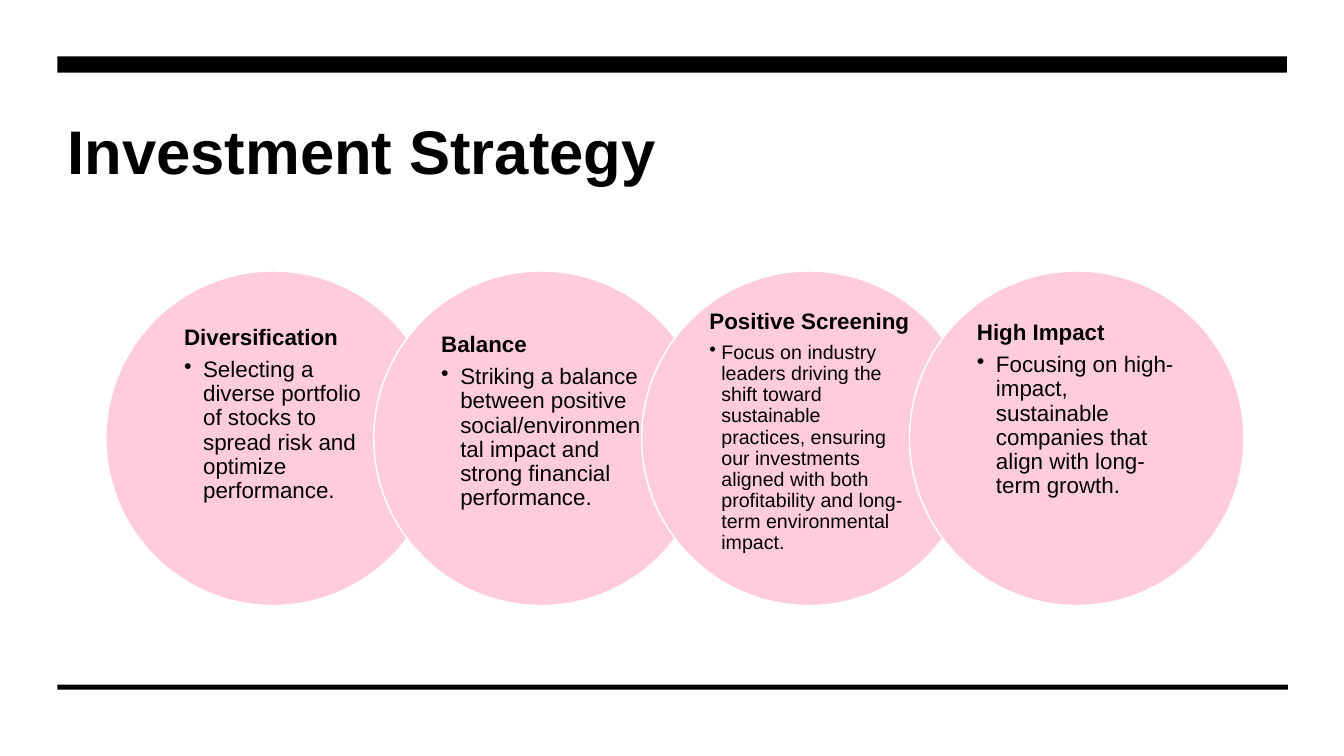
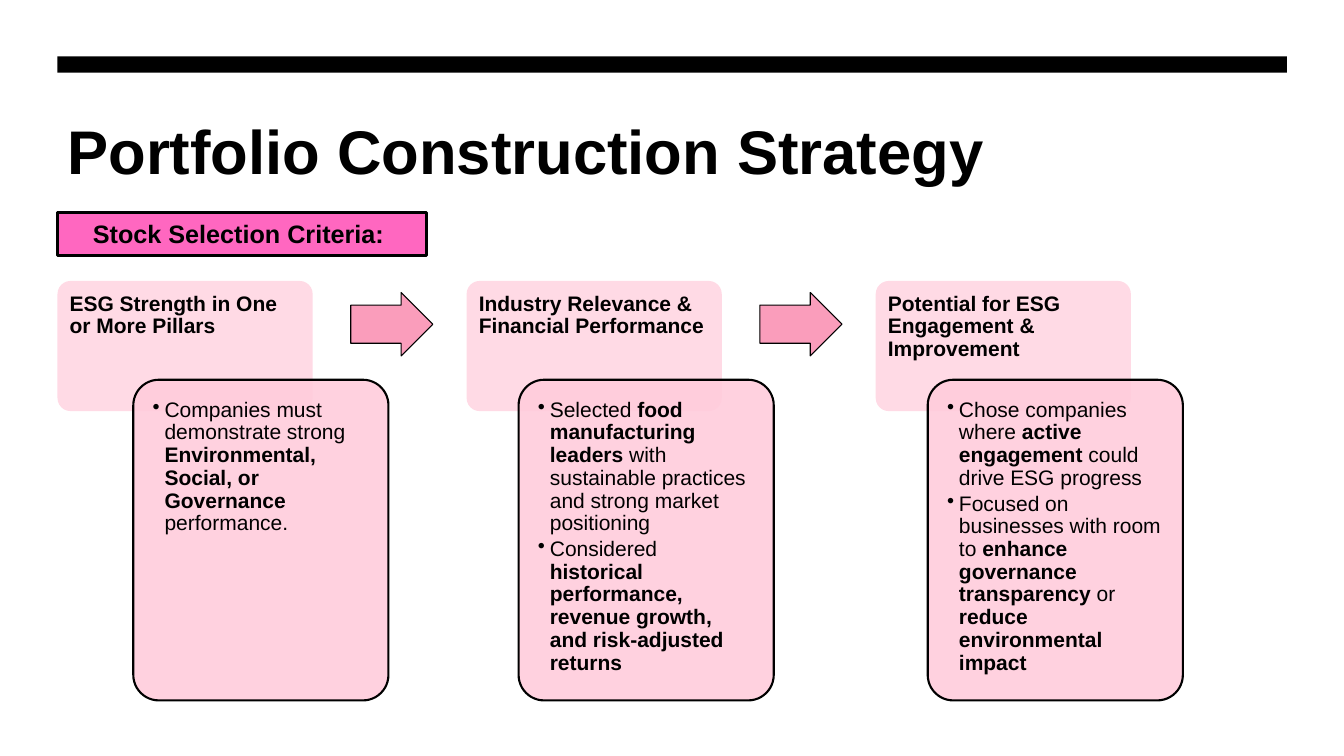
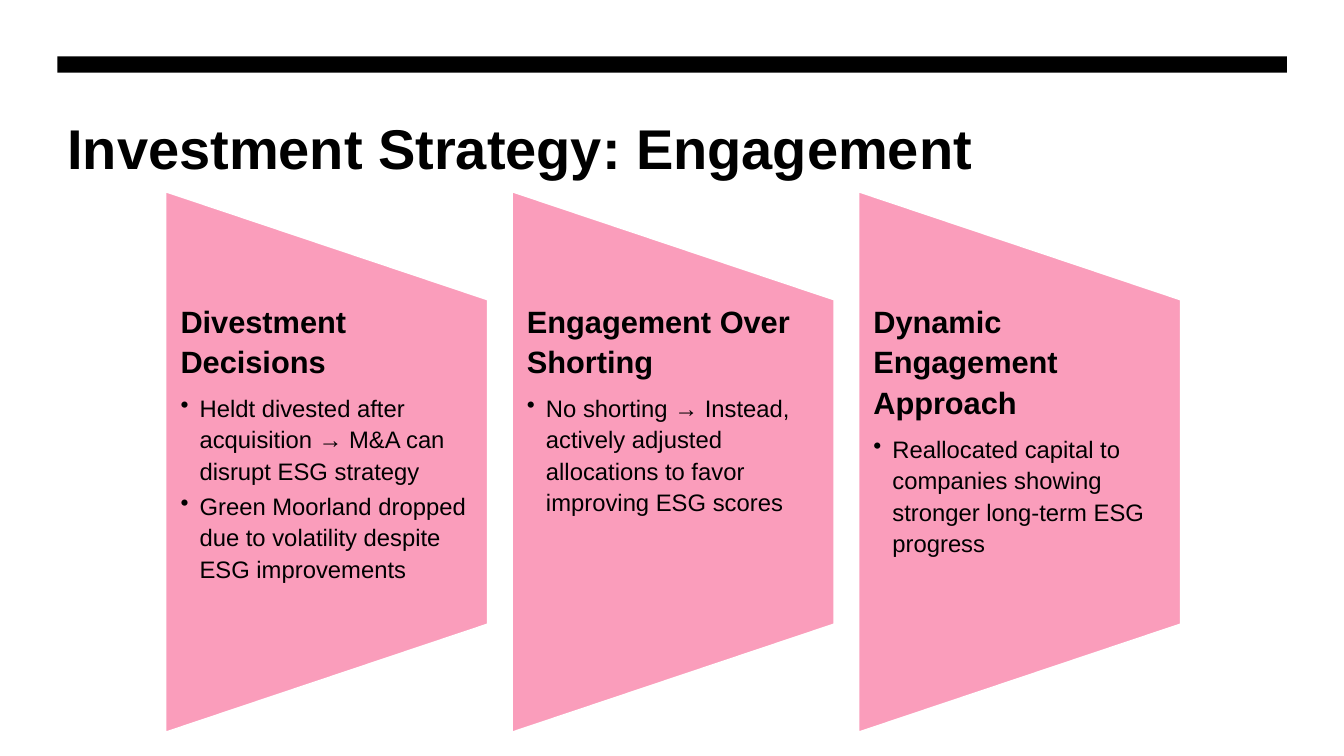
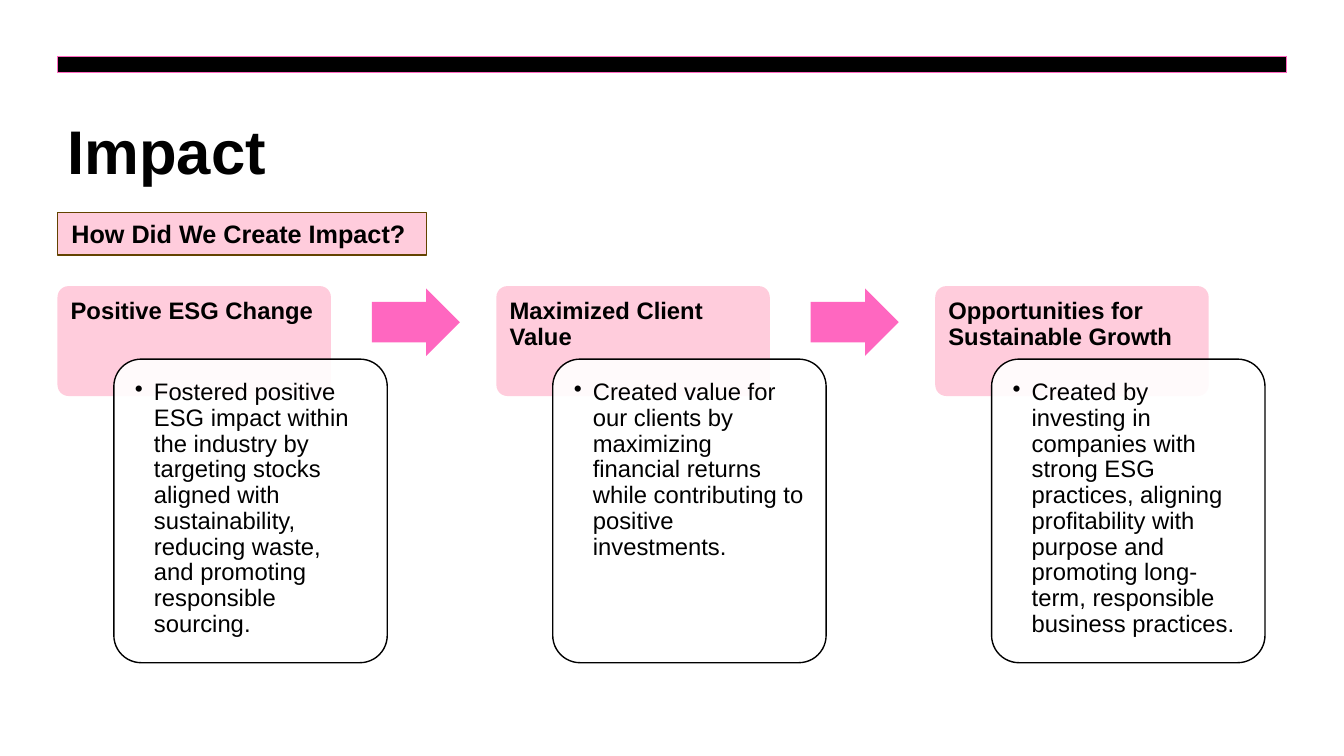
"""Build four slides on an ESG investment strategy."""
from lxml.etree import SubElement
from pptx import Presentation
from pptx.dml.color import RGBColor
from pptx.enum.shapes import MSO_SHAPE
from pptx.enum.text import MSO_ANCHOR, PP_ALIGN
from pptx.oxml.ns import qn
from pptx.util import Cm, Pt

BLACK = RGBColor(0x00, 0x00, 0x00)
WHITE = RGBColor(0xFF, 0xFF, 0xFF)
PALE_PINK = RGBColor(0xFF, 0xCC, 0xDC)
ROSE = RGBColor(0xFA, 0x9D, 0xBB)
HOT_PINK = RGBColor(0xFF, 0x67, 0xC0)
BROWN = RGBColor(0x63, 0x43, 0x00)
FONT = "Arial"
MARGIN = 1.45
NO_BREAK_SPACE = chr(160)


def write(frame, *texts, size, bold=False, align=PP_ALIGN.LEFT, line_spacing=1.0,
          before=0, between=0, hanging=0):
    """Add one paragraph per text; ** switches bold, hanging (cm) adds a bullet."""
    for index, text in enumerate(texts):
        paragraph = frame.paragraphs[0]
        if paragraph.runs:
            paragraph = frame.add_paragraph()
        paragraph.alignment = align
        paragraph.line_spacing = line_spacing
        paragraph.space_before = Pt(between if index else before)
        if hanging:
            properties = paragraph._p.get_or_add_pPr()
            properties.set("marL", str(Cm(hanging)))
            properties.set("indent", str(-Cm(hanging)))
            SubElement(properties, qn("a:buChar")).set("char", "•")
        for position, part in enumerate(text.split("**")):
            if part:
                run = paragraph.add_run()
                run.text = part
                run.font.name = FONT
                run.font.size = Pt(size)
                run.font.bold = bold or position % 2 == 1
                run.font.color.rgb = BLACK


class Deck:
    """Hold the shared style and the current slide."""

    def __init__(self):
        """Start a widescreen presentation."""
        self.presentation = Presentation()
        self.presentation.slide_width = Cm(33.87)
        self.presentation.slide_height = Cm(19.05)
        self.slide = None

    def add_slide(self, title, title_size=44, bar_line=None):
        """Add a slide with the black top bar and its title."""
        self.slide = self.presentation.slides.add_slide(self.presentation.slide_layouts[6])
        self.shape(MSO_SHAPE.RECTANGLE, MARGIN, 1.42, 30.98, 0.41, BLACK, line=bar_line)
        frame = self.text_box(MARGIN, 2.72, 31, 2.16, (0.25, 0.13, 0.25, 0.13))
        write(frame, title, size=title_size, bold=True)

    def shape(self, kind, left, top, width, height, fill, line=None, line_width=1.0,
              alpha=None, adjustments=()):
        """Add a preset shape without shadow."""
        shape = self.slide.shapes.add_shape(kind, Cm(left), Cm(top), Cm(width), Cm(height))
        shape.shadow.inherit = False
        shape.fill.solid()
        shape.fill.fore_color.rgb = fill
        if alpha:
            color = shape._element.spPr.find(".//" + qn("a:srgbClr"))
            SubElement(color, qn("a:alpha")).set("val", str(alpha * 1000))
        if line is None:
            shape.line.fill.background()
        else:
            shape.line.color.rgb = line
            shape.line.width = Pt(line_width)
        for index, value in enumerate(adjustments):
            shape.adjustments[index] = value
        return shape

    def frame(self, shape, margins, anchor=MSO_ANCHOR.TOP):
        """Set the text margins (left, top, right, bottom) and return the frame."""
        frame = shape.text_frame
        frame.word_wrap = True
        frame.vertical_anchor = anchor
        frame.margin_left, frame.margin_top, frame.margin_right, frame.margin_bottom = map(Cm, margins)
        return frame

    def text_box(self, left, top, width, height, margins=(0, 0, 0, 0)):
        """Add a wrapping text box and return its frame."""
        box = self.slide.shapes.add_textbox(Cm(left), Cm(top), Cm(width), Cm(height))
        return self.frame(box, margins)

    def label(self, text, fill, line, line_width):
        """Add the boxed label under the title."""
        box = self.shape(MSO_SHAPE.RECTANGLE, MARGIN, 5.36, 9.3, 1.07, fill, line, line_width)
        frame = self.frame(box, (0.25, 0.13, 0.25, 0.13), MSO_ANCHOR.MIDDLE)
        write(frame, text, size=18, bold=True, align=PP_ALIGN.CENTER)

    def circle(self, left, text_left, text_top, heading, body, body_size, hanging):
        """Add a circle with a heading and one bullet."""
        self.shape(MSO_SHAPE.OVAL, left, 6.83, 8.43, 8.43, PALE_PINK, WHITE)
        frame = self.text_box(text_left, text_top, 5.04, 6.5)
        write(frame, heading, size=16, bold=True, line_spacing=0.9)
        write(frame, body, size=body_size, line_spacing=0.9, before=5.6, hanging=hanging)

    def card(self, left, top, width, height, texts, margin, size, bold=False, hanging=0, **style):
        """Add a rounded card with text."""
        card = self.shape(MSO_SHAPE.ROUNDED_RECTANGLE, left, top, width, height,
                          adjustments=(0.1,), **style)
        write(self.frame(card, (margin,) * 4), *texts, size=size, bold=bold,
              line_spacing=0.9, between=2.2, hanging=hanging)

    def arrow(self, left, top, width, height, fill, line=None):
        """Add a block arrow pointing right."""
        self.shape(MSO_SHAPE.RIGHT_ARROW, left, top, width, height, fill, line, 0.75,
                   adjustments=(0.6, 0.5))

    def panel(self, left, heading, bullets):
        """Add a panel narrowing to the right, with a heading and bullets."""
        top, width, height = 4.82, 8.13, 13.64
        shift = (height - width) / 2
        panel = self.shape(MSO_SHAPE.FLOWCHART_MANUAL_OPERATION, left - shift, top + shift,
                           height, width, ROSE, WHITE, 1.5)
        panel.rotation = 270
        frame = self.text_box(left, 7.53, width, 8.18, (0.38, 0, 0.4, 0))
        write(frame, heading, size=22, bold=True, line_spacing=1.1)
        write(frame, *bullets, size=17, line_spacing=1.1, before=7.7, between=2.5, hanging=0.48)


def strategy_slide(deck):
    """Draw the four overlapping circles."""
    deck.add_slide("Investment Strategy")
    deck.shape(MSO_SHAPE.RECTANGLE, MARGIN, 17.25, 31.01, 0.13, BLACK)
    circles = [
        (4.64, 8.22, "Diversification",
         "Selecting a diverse portfolio of stocks to spread risk and optimize performance.", 16, 0.48),
        (11.12, 8.4, "Balance",
         "Striking a balance between positive social/environmental impact and strong "
         "financial performance.", 16, 0.48),
        (17.88, 7.82, "Positive Screening",
         "Focus on industry leaders driving the shift toward sustainable practices, ensuring our "
         "investments aligned with both profitability and long-term environmental impact.", 14, 0.3),
        (24.62, 8.1, "High Impact",
         "Focusing on high-impact, sustainable companies that align with long-term growth.", 16, 0.48),
    ]
    for index, circle in enumerate(circles):
        deck.circle(2.67 + index * 6.75, *circle)


def construction_slide(deck):
    """Draw the three selection criteria."""
    deck.add_slide("Portfolio Construction Strategy")
    steps = [
        ("ESG Strength in One or More Pillars", 1.91,
         ["Companies must demonstrate strong **Environmental, Social, or Governance** performance."]),
        ("Industry Relevance & Financial Performance", 1.31,
         ["Selected **food manufacturing leaders** with sustainable practices and strong "
          "market positioning",
          "Considered **historical performance, revenue growth, and risk-adjusted returns**"]),
        ("Potential for ESG Engagement & Improvement", 1.31,
         ["Chose companies where **active engagement** could drive ESG progress",
          "Focused on businesses with room to **enhance governance transparency **or "
          "**reduce environmental impact**"]),
    ]
    for index, (heading, offset, bullets) in enumerate(steps):
        left = MARGIN + index * 10.31
        deck.card(left, 7.08, 6.43, 3.28, [heading], 0.21, 15, bold=True,
                  fill=PALE_PINK, alpha=72)
        deck.card(left + offset, 9.57, 6.43, 8.08, bullets, 0.3, 15, hanging=0.3,
                  fill=PALE_PINK, alpha=90, line=BLACK, line_width=1.5)
        if index < len(steps) - 1:
            deck.arrow(left + 7.39, 7.37, 2.07, 1.6, ROSE, BLACK)
    deck.label("Stock Selection Criteria: ", HOT_PINK, BLACK, 2.25)


def engagement_slide(deck):
    """Draw the three engagement panels."""
    deck.add_slide("Investment Strategy: Engagement", title_size=40)
    panels = [
        ("Divestment Decisions",
         ["Heldt divested after acquisition → M&A can disrupt ESG strategy",
          "Green Moorland dropped due to volatility despite ESG improvements"]),
        ("Engagement Over Shorting",
         ["No shorting → Instead, actively adjusted allocations to favor improving ESG scores"]),
        ("Dynamic Engagement Approach",
         [f"Reallocated capital to companies showing stronger{NO_BREAK_SPACE}long-term ESG progress"]),
    ]
    for index, (heading, bullets) in enumerate(panels):
        deck.panel(4.17 + index * 8.73, heading, bullets)


def impact_slide(deck):
    """Draw the three kinds of impact."""
    deck.add_slide("Impact", bar_line=HOT_PINK)
    steps = [
        ("Positive ESG Change",
         "Fostered positive ESG impact within the industry by targeting stocks aligned with "
         "sustainability, reducing waste, and promoting responsible sourcing."),
        ("Maximized Client Value",
         "Created value for our clients by maximizing financial returns while contributing to "
         "positive investments."),
        ("Opportunities for Sustainable Growth",
         "Created by investing in companies with strong ESG practices, aligning profitability with "
         "purpose and promoting long-term, responsible business practices."),
    ]
    for index, (heading, bullet) in enumerate(steps):
        left = MARGIN + index * 11.06
        deck.card(left, 7.21, 6.89, 2.77, [heading], 0.25, 17, bold=True, fill=PALE_PINK)
        deck.card(left + 1.42, 9.05, 6.89, 7.65, [bullet], 0.33, 17, hanging=0.48,
                  fill=WHITE, alpha=90, line=BLACK)
        if index < len(steps) - 1:
            deck.arrow(left + 7.92, 7.27, 2.22, 1.7, HOT_PINK)
    deck.label("How Did We Create Impact? ", PALE_PINK, BROWN, 1)


def main():
    """Build and save the presentation."""
    deck = Deck()
    for draw in (strategy_slide, construction_slide, engagement_slide, impact_slide):
        draw(deck)
    deck.presentation.save("out.pptx")


if __name__ == "__main__":
    main()
